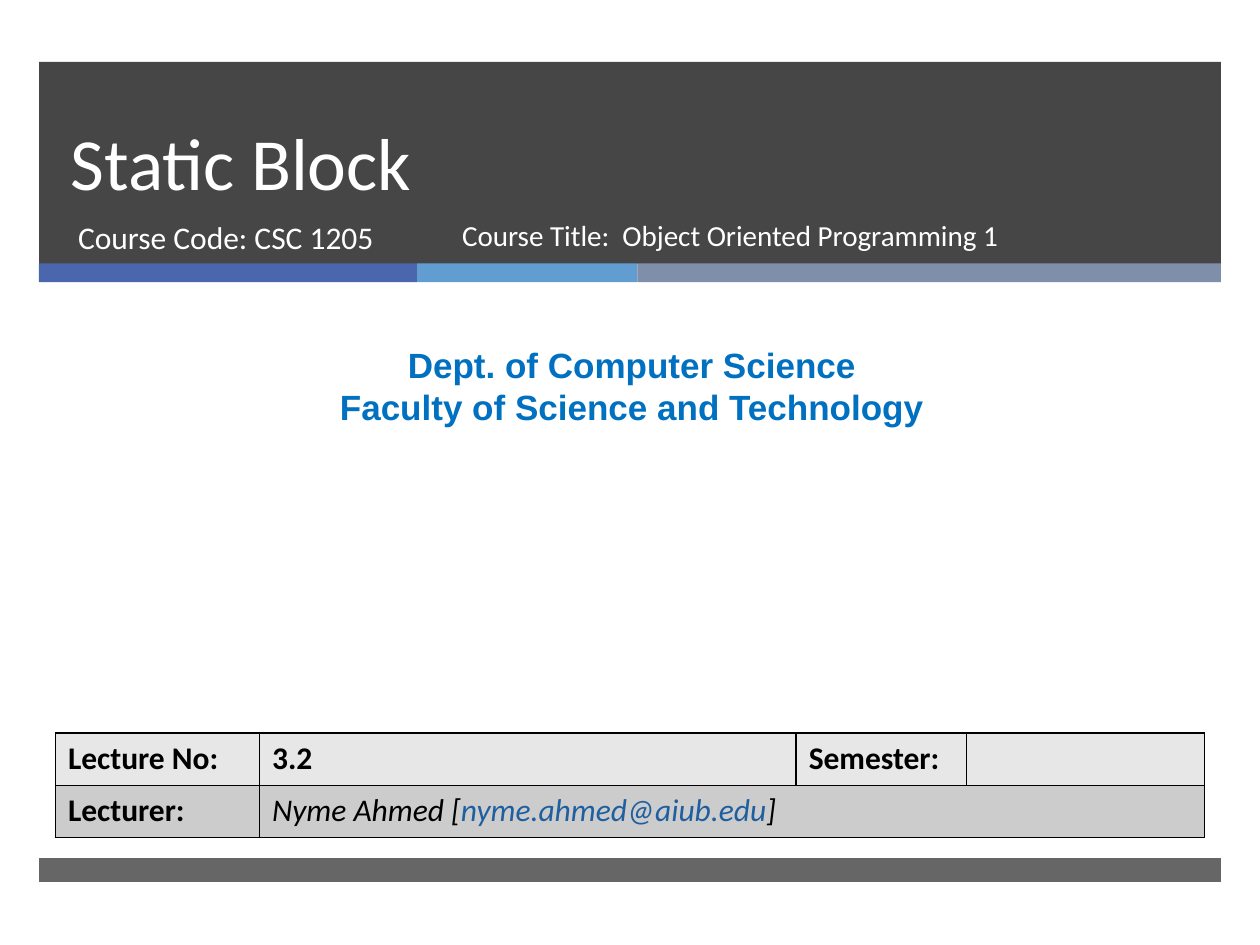
import pptx
import pptx.util
import pptx.dml.color
import pptx.enum.shapes
import pptx.enum.text
import pptx.oxml
import pptx.oxml.ns

Pt = pptx.util.Pt
ALIGN = pptx.enum.text.PP_ALIGN
ANCHOR = pptx.enum.text.MSO_ANCHOR
COLORS = {
    "dark": "262626", "blue": "4A66AC", "sky": "629DD1", "slate": "7F8FA9",
    "white": "FFFFFF", "black": "000000", "heading": "0070C0",
    "email": "1F5FA0", "row_light": "E7E7E7", "row_dark": "CCCCCC",
}


class Deck:
    def __init__(self, width, height):
        self.prs = pptx.Presentation()
        self.prs.slide_width, self.prs.slide_height = Pt(width), Pt(height)
        self.s = self.prs.slides.add_slide(self.prs.slide_layouts[0])
        self.back = 2

    def rgb(self, name):
        return pptx.dml.color.RGBColor.from_string(COLORS[name])

    def style(self, r, size, color, font="Calibri", bold=False, italic=False):
        f = r.font
        f.name, f.size, f.bold, f.italic = font, Pt(size), bold, italic
        f.color.rgb = self.rgb(color)

    def band(self, x, y, w, h, color, alpha=None):
        sp = self.s.shapes.add_shape(
            pptx.enum.shapes.MSO_SHAPE.RECTANGLE, Pt(x), Pt(y), Pt(w), Pt(h))
        sp.shadow.inherit = False
        sp.line.fill.background()
        sp.fill.solid()
        sp.fill.fore_color.rgb = self.rgb(color)
        if alpha:
            clr = sp._element.spPr.find(".//" + pptx.oxml.ns.qn("a:srgbClr"))
            clr.append(pptx.oxml.parse_xml(
                f'<a:alpha {pptx.oxml.ns.nsdecls("a")} val="{alpha * 1000}"/>'))
        self.s.shapes._spTree.insert(self.back, sp._element)
        self.back += 1

    def set_text(self, sp, box, text, size, color="white", align=ALIGN.LEFT,
                 anchor=ANCHOR.TOP, spacing=None, **look):
        sp.left, sp.top, sp.width, sp.height = map(Pt, box)
        tf = sp.text_frame
        tf.text = text
        tf.word_wrap = True
        tf.auto_size = pptx.enum.text.MSO_AUTO_SIZE.NONE
        tf.vertical_anchor = anchor
        for p in tf.paragraphs:
            p.alignment = align
            p.space_before = Pt(0)
            if spacing:
                p.line_spacing = Pt(spacing)
            for r in p.runs:
                self.style(r, size, color, **look)

    def placeholder(self, idx, box, text, size, **look):
        self.set_text(self.s.placeholders[idx], box, text, size, **look)

    def textbox(self, box, text, size, **look):
        sp = self.s.shapes.add_textbox(*map(Pt, box))
        self.set_text(sp, box, text, size, **look)

    def table(self, x, y, widths, row_height, fills):
        shape = self.s.shapes.add_table(
            len(fills), len(widths), Pt(x), Pt(y), Pt(sum(widths)),
            Pt(row_height * len(fills)))
        tbl = shape.table
        for col, width in zip(tbl.columns, widths):
            col.width = Pt(width)
        for i, color in enumerate(fills):
            tbl.rows[i].height = Pt(row_height)
            for cell in tbl.rows[i].cells:
                cell.fill.solid()
                cell.fill.fore_color.rgb = self.rgb(color)
                self.border(cell)
        return tbl

    def border(self, cell):
        tcPr = cell._tc.get_or_add_tcPr()
        for i, side in enumerate("LRTB"):
            tcPr.insert(i, pptx.oxml.parse_xml(
                f'<a:ln{side} {pptx.oxml.ns.nsdecls("a")} w="{Pt(1)}"><a:solidFill>'
                f'<a:srgbClr val="{COLORS["black"]}"/></a:solidFill></a:ln{side}>'))

    def cell(self, cell, runs, **look):
        p = cell.text_frame.paragraphs[0]
        for text, color in runs:
            r = p.add_run()
            r.text = text
            self.style(r, 18, color, **look)


def main():
    deck = Deck(720, 540)
    left, width = 22.3, 675.4

    deck.band(left, 35.3, width, 115.5, "dark", 85)
    x = left
    for w, color in ((216, "blue"), (126, "sky"), (333.4, "slate")):
        deck.band(x, 150.5, w, 10.8, color)
        x += w
    deck.band(left, 490.3, width, 13.7, "dark", 70)

    deck.placeholder(0, (33.1, 35.3, 614.9, 85.7), "Static Block", 42,
                     anchor=ANCHOR.BOTTOM, spacing=46)
    deck.placeholder(1, (37.4, 121, 219.6, 38.2), "Course Code: CSC 1205", 18)
    deck.textbox((5.8, 193, 710.6, 55.4),
                 "Dept. of Computer Science\nFaculty of Science and Technology",
                 20, color="heading", align=ALIGN.CENTER, font="Arial", bold=True)
    deck.textbox((257, 121, 331.9, 38.2),
                 "Course Title:  Object Oriented Programming 1", 16.6)

    tbl = deck.table(31.7, 419, (116.6, 306.7, 97.2, 136.1), 29.8,
                     ("row_light", "row_dark"))
    tbl.cell(1, 1).merge(tbl.cell(1, 3))
    labels = {(0, 0): "Lecture No:", (0, 1): "3.2",
              (0, 2): "Semester:", (1, 0): "Lecturer:"}
    for (row, col), text in labels.items():
        deck.cell(tbl.cell(row, col), [(text, "black")], bold=True)
    deck.cell(tbl.cell(1, 1), [("Nyme Ahmed [", "black"),
                               ("nyme.ahmed@aiub.edu", "email"),
                               ("]", "black")], italic=True)
    deck.prs.save("out.pptx")


if __name__ == "__main__":
    main()
